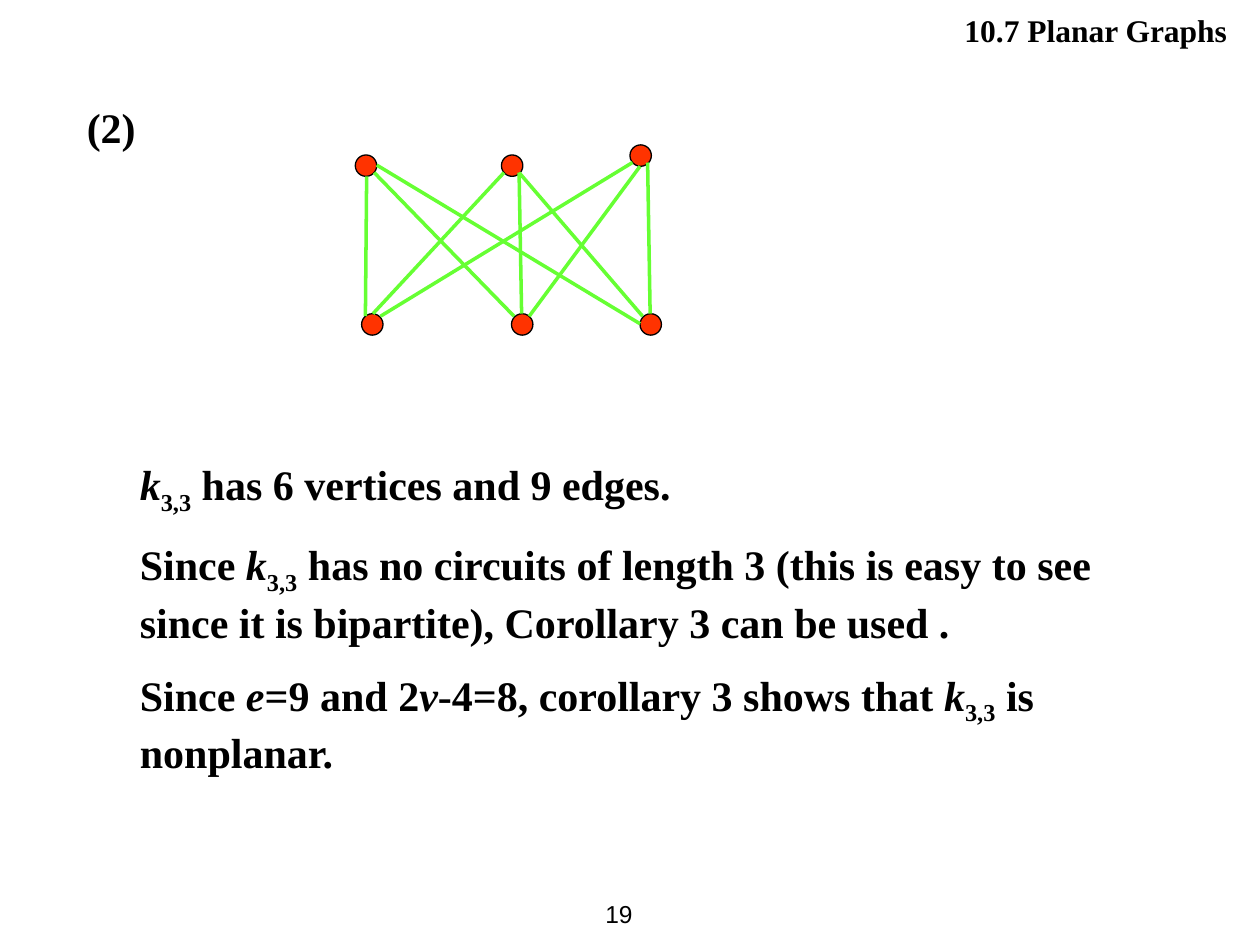
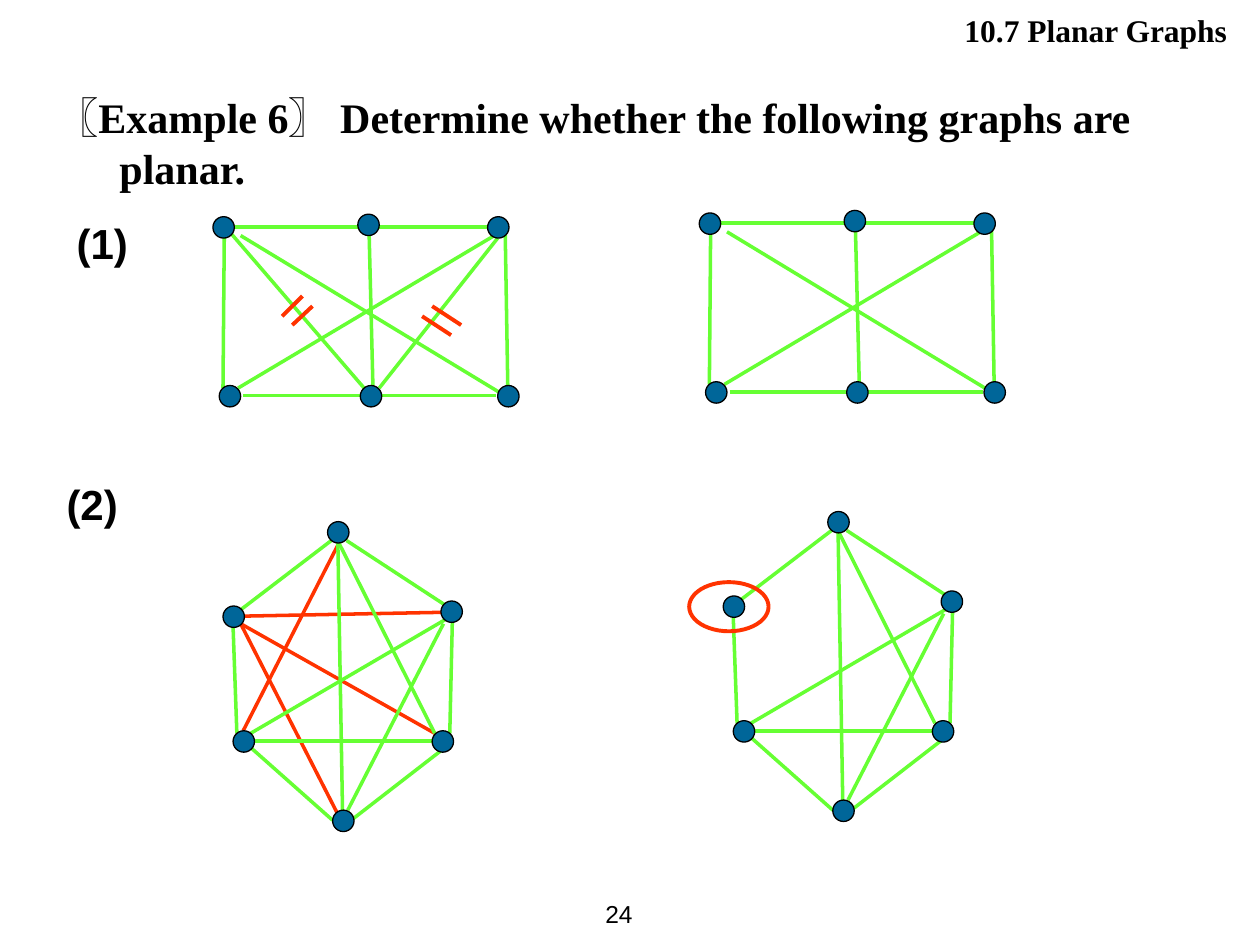
from dataclasses import dataclass

from lxml.etree import SubElement
from pptx import Presentation
from pptx.dml.color import RGBColor as Rgb
from pptx.enum.shapes import MSO_CONNECTOR as Link, MSO_SHAPE as Preset
from pptx.enum.text import MSO_ANCHOR as Anchor, MSO_AUTO_SIZE as AutoSize, PP_ALIGN as Align
from pptx.oxml.ns import qn
from pptx.util import Emu, Pt


@dataclass(frozen=True)
class Theme:
    serif: str = "Times New Roman"
    sans: str = "Arial"
    ink: str = "000000"
    edge: str = "66FF33"
    accent: str = "FF3300"
    vertex: str = "006699"
    body: int = 24
    header: int = 18
    footer: int = 14
    paragraph_gap: int = 13
    edge_width: float = 2
    mark_width: float = 2.25
    outline_width: float = 0.75


THEME = Theme()
EMU_PER_PX = 9144
SLIDE_SIZE = (1000, 750)
VERTEX_SIZE = 17

HEADER = "10.7 Planar Graphs"
HEADER_BOX = (398, -3, 594, 50)
HEADER_INSETS = (10, 12, 18, 5)
PAGE_BOX = (445, 700, 67, 50)
INSETS = (10, 5, 10, 5)
PROOF_INSETS = (60, 5, 10, 5)
HANGING = 50

K33 = [("k", "italic"), ("3,3", "sub")]
PROOF_BOX = (51, 359, 882, 252)
PROOF = [
    K33 + [(" has 6 vertices and 9 edges.", "")],
    [("Since ", "")] + K33 + [
        (" has no circuits of length 3 (this is easy to see since it is bipartite), "
         "Corollary 3 can be used .", "")],
    [("Since ", ""), ("e", "italic"), ("=9 and 2", ""), ("v", "italic"),
     ("-4=8, corollary 3 shows that ", "")] + K33 + [(" is nonplanar.", "")],
]
K33_LABEL = ("(2)", (59, 76, 858, 50))

QUESTION_BOX = (35, 68, 914, 90)
QUESTION = [[("〖", "sans"), ("Example 6〗 Determine whether the following graphs are planar.", "")]]
QUESTION_LABELS = [("(1)", (51, 168, 914, 50)), ("(2)", (43, 375, 914, 50))]

K33_GRAPH = {
    "vertices": [(287, 249), (406, 249), (508, 249), (282, 123), (398, 123), (500, 115)],
    "kept": [
        (291, 140, 290, 251), (400, 137, 296, 249), (420, 251, 508, 132),
        (502, 129, 302, 251), (297, 137, 408, 251), (412, 137, 414, 249),
        (299, 131, 508, 257), (412, 137, 510, 251), (516, 249, 514, 129),
    ],
}
SIX_CYCLE_GRAPH = {
    "vertices": [(174, 306), (169, 172), (387, 172), (395, 306), (284, 170), (286, 306)],
    "deleted": [(301, 308, 395, 189), (184, 186, 289, 308)],
    "kept": [
        (178, 189, 177, 308), (394, 186, 189, 308), (293, 187, 296, 307),
        (191, 187, 399, 313), (403, 306, 401, 186), (186, 180, 387, 180),
        (193, 314, 394, 314),
    ],
    "deleted_colour": THEME.edge,
    "reduced_shift": (386, -3),
}
HEXAGON_GRAPH = {
    "vertices": [(185, 580), (343, 580), (177, 481), (350, 477), (260, 414), (264, 643)],
    "deleted": [
        (269, 431, 193, 580), (194, 489, 350, 486), (191, 495, 345, 582), (191, 495, 268, 646),
    ],
    "kept": [
        (185, 498, 188, 582), (202, 588, 343, 588), (357, 582, 359, 494),
        (353, 480, 275, 429), (191, 484, 263, 429), (269, 431, 345, 582),
        (199, 582, 353, 492), (264, 651, 193, 588), (280, 650, 351, 595),
        (352, 495, 276, 643), (268, 422, 272, 651),
    ],
    "deleted_colour": THEME.accent,
    "reduced_shift": (397, -8),
}
DELETION_MARKS = [
    [(343, 243, 366, 258), (335, 251, 358, 266)],
    [(224, 251, 240, 235), (232, 258, 248, 243)],
]
ISOLATED_VERTEX_RING = (547, 462, 63, 39)


def px(*lengths):
    return [Emu(length * EMU_PER_PX) for length in lengths]


def shifted(points, shift):
    return [tuple(value + shift[i % 2] for i, value in enumerate(point)) for point in points]


def add_run(paragraph, words, style, face, size):
    run = paragraph.add_run()
    run.text = words
    font = run.font
    font.name = THEME.sans if style == "sans" else face
    font.size = Pt(size)
    font.bold = size != THEME.footer
    font.italic = style == "italic"
    font.color.rgb = Rgb.from_string(THEME.ink)
    if style == "sub":
        run._r.get_or_add_rPr().set("baseline", "-25000")


def write(holder, box, paragraphs, face=THEME.serif, size=THEME.body, align=Align.LEFT,
          anchor=Anchor.TOP, insets=INSETS, hanging=0):
    holder.left, holder.top, holder.width, holder.height = px(*box)
    frame = holder.text_frame
    frame.word_wrap = True
    frame.auto_size = AutoSize.NONE
    frame.vertical_anchor = anchor
    (frame.margin_left, frame.margin_top,
     frame.margin_right, frame.margin_bottom) = px(*insets)
    for index, runs in enumerate(paragraphs):
        paragraph = frame.add_paragraph() if index else frame.paragraphs[0]
        paragraph.alignment = align
        if index:
            paragraph.space_before = Pt(THEME.paragraph_gap)
        if hanging:
            properties = paragraph._p.get_or_add_pPr()
            properties.set("marL", str(hanging * EMU_PER_PX))
            properties.set("indent", str(-hanging * EMU_PER_PX))
        for words, style in runs:
            add_run(paragraph, words, style, face, size)


def add_text(slide, box, paragraphs, **look):
    write(slide.shapes.add_textbox(*px(*box)), box, paragraphs, **look)


def draw_segments(shapes, segments, colour, width):
    for segment in segments:
        edge = shapes.add_connector(Link.STRAIGHT, *px(*segment))
        edge.line.color.rgb = Rgb.from_string(colour)
        edge.line.width = Pt(width)
        SubElement(edge._element.spPr, qn("a:effectLst"))


def draw_round(shapes, preset, box, fill, outline, width):
    disc = shapes.add_shape(preset, *px(*box))
    disc.shadow.inherit = False
    if fill:
        disc.fill.solid()
        disc.fill.fore_color.rgb = Rgb.from_string(fill)
    else:
        disc.fill.background()
    disc.line.color.rgb = Rgb.from_string(outline)
    disc.line.width = Pt(width)


def draw_vertices(shapes, vertices, colour):
    for left, top in vertices:
        draw_round(shapes, Preset.FLOWCHART_CONNECTOR, (left, top, VERTEX_SIZE, VERTEX_SIZE),
                   colour, THEME.ink, THEME.outline_width)


def draw_graph(slide, graph, reduced=False):
    shapes = slide.shapes.add_group_shape().shapes
    shift = graph["reduced_shift"] if reduced else (0, 0)
    if not reduced:
        draw_segments(shapes, graph["deleted"], graph["deleted_colour"], THEME.edge_width)
    draw_segments(shapes, shifted(graph["kept"], shift), THEME.edge, THEME.edge_width)
    draw_vertices(shapes, shifted(graph["vertices"], shift), THEME.vertex)


def start_slide(deck, page):
    slide = deck.slides.add_slide(deck.slide_layouts[5])
    write(slide.shapes.title, HEADER_BOX, [[(HEADER, "")]], size=THEME.header,
          align=Align.RIGHT, insets=HEADER_INSETS)
    add_text(slide, PAGE_BOX, [[(page, "")]], face=THEME.sans, size=THEME.footer,
             align=Align.RIGHT, anchor=Anchor.MIDDLE)
    return slide


def build_k33_slide(deck):
    slide = start_slide(deck, "19")
    label, box = K33_LABEL
    add_text(slide, box, [[(label, "")]])
    add_text(slide, PROOF_BOX, PROOF, insets=PROOF_INSETS)
    shapes = slide.shapes.add_group_shape().shapes
    draw_vertices(shapes, K33_GRAPH["vertices"], THEME.accent)
    draw_segments(shapes, K33_GRAPH["kept"], THEME.edge, THEME.edge_width)


def build_example_slide(deck):
    slide = start_slide(deck, "24")
    add_text(slide, QUESTION_BOX, QUESTION, hanging=HANGING)
    for label, box in QUESTION_LABELS:
        add_text(slide, box, [[(label, "")]], face=THEME.sans)
    for graph in (SIX_CYCLE_GRAPH, HEXAGON_GRAPH):
        draw_graph(slide, graph)
        draw_graph(slide, graph, reduced=True)
    for mark in DELETION_MARKS:
        draw_segments(slide.shapes.add_group_shape().shapes, mark, THEME.accent, THEME.mark_width)
    draw_round(slide.shapes, Preset.OVAL, ISOLATED_VERTEX_RING, None, THEME.accent,
               THEME.mark_width)


def main():
    deck = Presentation()
    deck.slide_width, deck.slide_height = px(*SLIDE_SIZE)
    build_k33_slide(deck)
    build_example_slide(deck)
    deck.save("out.pptx")


if __name__ == "__main__":
    main()
